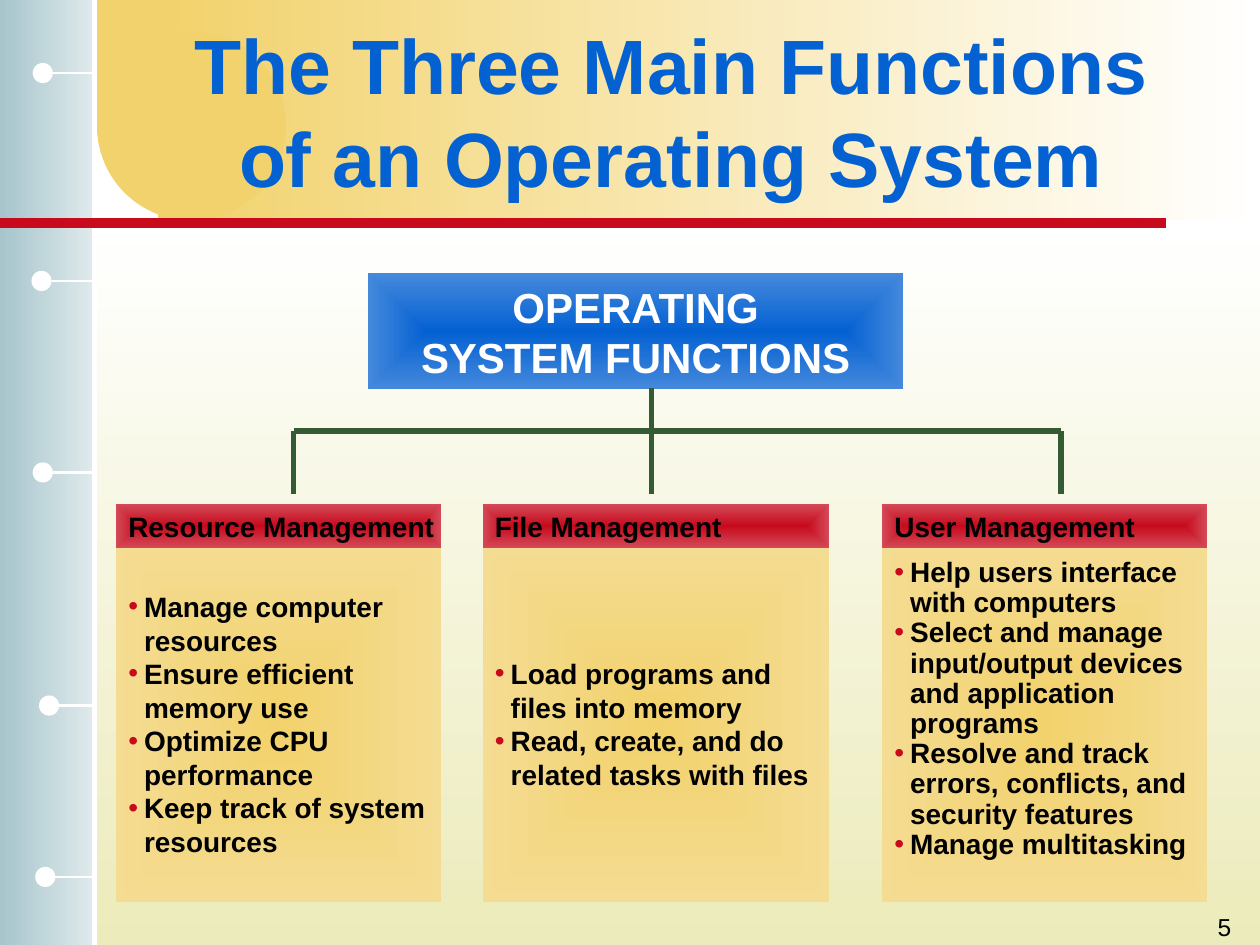
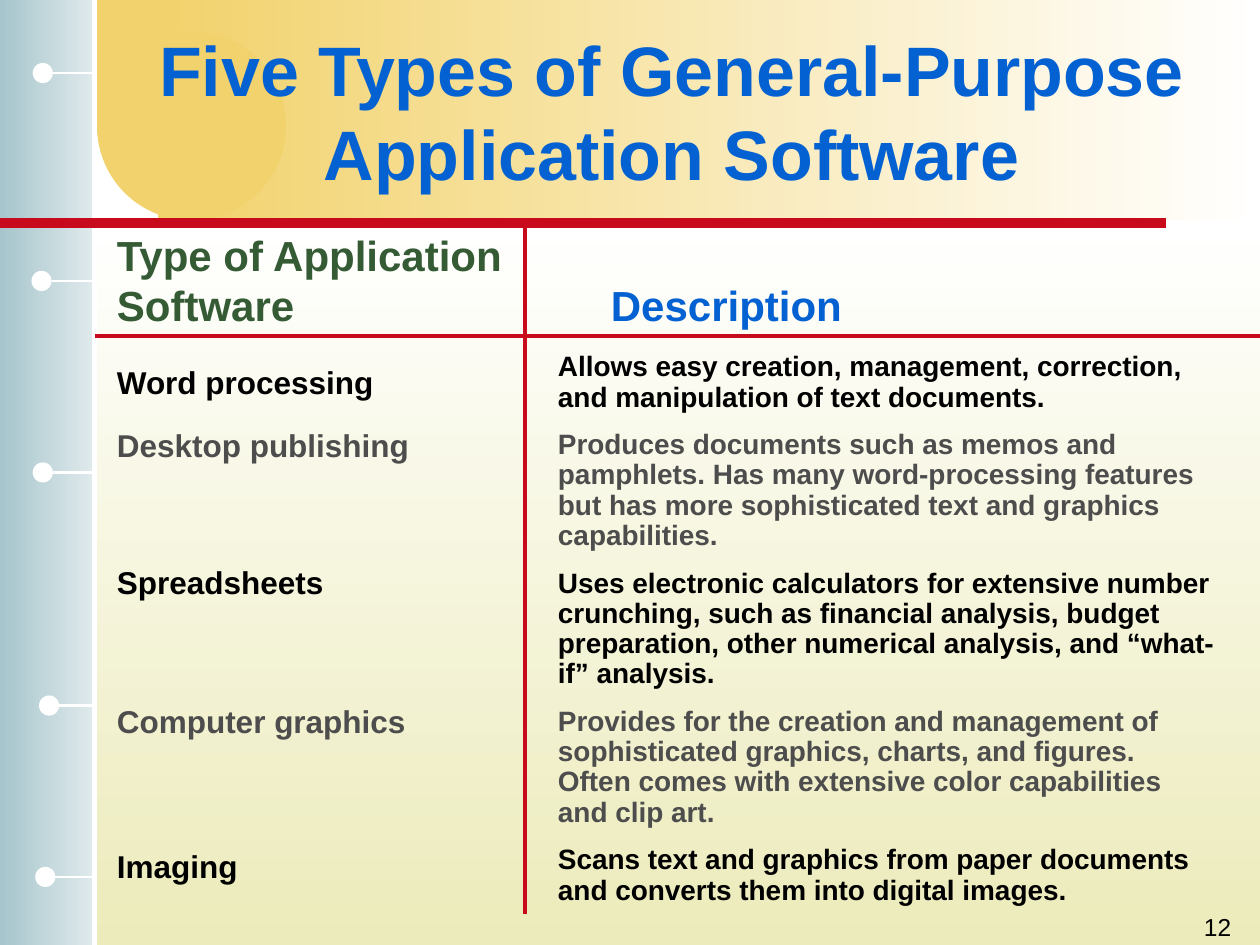
from dataclasses import dataclass
from itertools import cycle

from lxml import etree
from pptx import Presentation
from pptx.dml.color import RGBColor
from pptx.enum.shapes import MSO_CONNECTOR, MSO_SHAPE
from pptx.enum.text import MSO_ANCHOR, PP_ALIGN
from pptx.oxml import parse_xml
from pptx.oxml.ns import nsdecls, qn
from pptx.util import Inches, Pt


@dataclass(frozen=True)
class Theme:
    font: str = "Arial"
    blue: str = "0461D2"
    light_blue: str = "4589DC"
    red: str = "C70B1D"
    light_red: str = "D44A58"
    gold: str = "F2D26C"
    light_gold: str = "F4DC92"
    green: str = "355B35"
    cream: str = "ECEBBB"
    teal: str = "A6C5CC"
    light_teal: str = "E0EAEC"
    white: str = "FFFFFF"
    black: str = "000000"
    gray: str = "4D4D4D"
    heading: int = 24
    label: int = 18
    body: int = 16
    number: int = 14


T = Theme()

BINDER_DOTS = [(0.26, 0.5), (0.25, 2.15), (0.26, 3.67), (0.31, 5.52), (0.28, 6.88)]
DOT_SIZE = 0.16

FUNCTIONS = [
    # left, width, stem x, heading, line spacing, bottom inset, duties
    (0.92, 2.58, 2.33, "Resource Management", 1.0, 0.05, [
        "Manage computer resources",
        "Ensure efficient memory use",
        "Optimize CPU performance",
        "Keep track of system resources",
    ]),
    (3.83, 2.75, 5.17, "File Management", 1.0, 0.05, [
        "Load programs and files into memory",
        "Read, create, and do related tasks with files",
    ]),
    (7, 2.58, 8.42, "User Management", 0.9, 0.28, [
        "Help users interface with computers",
        "Select and manage input/output devices and application programs",
        "Resolve and track errors, conflicts, and security features",
        "Manage multitasking",
    ]),
]

SOFTWARE = [
    # label top, type, description
    (2.83, "Word processing",
     "Allows easy creation, management, correction, and manipulation of text documents."),
    (3.33, "Desktop publishing",
     "Produces documents such as memos and pamphlets. Has many word-processing features "
     "but has more sophisticated text and graphics capabilities."),
    (4.42, "Spreadsheets",
     "Uses electronic calculators for extensive number crunching, such as financial analysis, "
     "budget preparation, other numerical analysis, and “what-if” analysis."),
    (5.52, "Computer graphics",
     "Provides for the creation and management of sophisticated graphics, charts, and figures.\n"
     "Often comes with extensive color capabilities and clip art."),
    (6.67, "Imaging",
     "Scans text and graphics from paper documents and converts them into digital images."),
]


def rgb(color):
    return RGBColor.from_string(color)


def add_block(slide, box, colors, angle=None, kind=MSO_SHAPE.RECTANGLE):
    """Add a borderless shape: one colour is solid, two run at angle or from the centre out."""
    sp = slide.shapes.add_shape(kind, *map(Inches, box))
    sp.shadow.inherit = False
    sp.line.fill.background()
    if len(colors) == 1:
        sp.fill.solid()
        sp.fill.fore_color.rgb = rgb(colors[0])
        return sp
    sp.fill.gradient()
    for stop, color in zip(sp.fill.gradient_stops, colors):
        stop.color.rgb = rgb(color)
    if angle is not None:
        sp.fill.gradient_angle = angle
    else:
        lin = sp._element.spPr.find(qn("a:gradFill")).find(qn("a:lin"))
        lin.getparent().replace(lin, parse_xml(
            f'<a:path {nsdecls("a")} path="rect">'
            '<a:fillToRect l="50000" t="50000" r="50000" b="50000"/></a:path>'))
    return sp


def add_line(slide, start, end, color, width):
    ends = map(Inches, (*start, *end))
    line = slide.shapes.add_connector(MSO_CONNECTOR.STRAIGHT, *ends)
    line.line.color.rgb = rgb(color)
    line.line.width = Pt(width)
    etree.SubElement(line._element.spPr, qn("a:effectLst"))


def add_bullet(p):
    pPr = p._p.get_or_add_pPr()
    pPr.set("marL", str(Inches(0.125)))
    pPr.set("indent", str(-Inches(0.125)))
    color = etree.SubElement(pPr, qn("a:buClr"))
    etree.SubElement(color, qn("a:srgbClr"), val=T.red)
    etree.SubElement(pPr, qn("a:buFont"), typeface=T.font)
    etree.SubElement(pPr, qn("a:buChar"), char="•")


def write(sp, paragraphs, size, colors, align=PP_ALIGN.LEFT, anchor=MSO_ANCHOR.TOP,
          bold=True, wrap=True, bullets=False, spacing=1.0, before=0):
    """Fill a shape with paragraphs whose colours take turns; a newline breaks a line."""
    tf = sp.text_frame
    tf.word_wrap = wrap
    tf.vertical_anchor = anchor
    for i, (text, color) in enumerate(zip(paragraphs, cycle(colors))):
        p = tf.add_paragraph() if i else tf.paragraphs[0]
        p.alignment = align
        p.line_spacing = spacing
        if i and before:
            p.space_before = Pt(before)
        if bullets:
            add_bullet(p)
        for j, line in enumerate(text.split("\n")):
            if j:
                p.add_line_break()
            r = p.add_run()
            r.text = line
            r.font.name = T.font
            r.font.size = Pt(size)
            r.font.bold = bold
            r.font.color.rgb = rgb(color)


def add_text(slide, box, paragraphs, size, colors, **style):
    write(slide.shapes.add_textbox(*map(Inches, box)), paragraphs, size, colors, **style)


def add_backdrop(slide):
    add_block(slide, (0.73, 1.77, 9.27, 5.73), (T.white, T.cream), angle=270)
    add_block(slide, (0, 0, 0.75, 7.5), (T.teal, T.light_teal), angle=0)
    add_block(slide, (1.25, 0, 8.75, 1.75), (T.gold, T.white), angle=0)
    add_block(slide, (0.77, 0.25, 1.5, 1.5), (T.gold,), kind=MSO_SHAPE.OVAL)
    add_block(slide, (0.77, 0, 0.67, 0.96), (T.gold,))
    add_line(slide, (0.75, 0), (0.75, 7.5), T.white, 3)
    for x, y in BINDER_DOTS:
        middle = y + DOT_SIZE / 2
        add_line(slide, (x + DOT_SIZE, middle), (0.75, middle), T.white, 1.5)
        add_block(slide, (x, y, DOT_SIZE, DOT_SIZE), (T.white,), kind=MSO_SHAPE.OVAL)
    add_line(slide, (0, 1.77), (9.25, 1.77), T.red, 6)


def new_slide(prs, title, title_size, number):
    slide = prs.slides.add_slide(prs.slide_layouts[6])
    add_backdrop(slide)
    add_text(slide, (1.08, 0.25, 8.5, 1.25), [title], title_size, [T.blue],
             align=PP_ALIGN.CENTER, anchor=MSO_ANCHOR.MIDDLE)
    add_text(slide, (7.79, 7.19, 2.08, 0.5), [str(number)], T.number, [T.black],
             align=PP_ALIGN.RIGHT, bold=False)
    return slide


def add_function_card(slide, box, heading, duties, spacing, bottom_inset):
    left, top, width, height = box
    body = add_block(slide, (left, top + 0.33, width, height - 0.33), (T.gold, T.light_gold))
    body.text_frame.margin_bottom = Inches(bottom_inset)
    write(body, duties, T.body, [T.black], anchor=MSO_ANCHOR.MIDDLE,
          bullets=True, spacing=spacing)
    head = add_block(slide, (left, top, width, 0.35), (T.red, T.light_red))
    write(head, [heading], T.body, [T.black], anchor=MSO_ANCHOR.MIDDLE, wrap=False)


def add_tree_lines(slide, top, rail, bottom, stems):
    add_line(slide, (stems[1], top), (stems[1], rail), T.green, 3)
    add_line(slide, (stems[0], rail), (stems[-1], rail), T.green, 3)
    for x in stems:
        add_line(slide, (x, rail), (x, bottom), T.green, 3)


def functions_slide(prs):
    slide = new_slide(prs, "The Three Main Functions of an Operating System", 44, 5)
    root = add_block(slide, (2.92, 2.17, 4.25, 0.92), (T.blue, T.light_blue))
    write(root, ["OPERATING", "SYSTEM FUNCTIONS"], T.heading, [T.white],
          align=PP_ALIGN.CENTER, anchor=MSO_ANCHOR.MIDDLE, wrap=False)
    for left, width, _, heading, spacing, inset, duties in FUNCTIONS:
        add_function_card(slide, (left, 4, width, 3.16), heading, duties, spacing, inset)
    add_tree_lines(slide, 3.08, 3.42, 3.92, [card[2] for card in FUNCTIONS])


def software_slide(prs):
    slide = new_slide(prs, "Five Types of General-Purpose Application Software", 40, 12)
    add_line(slide, (0.75, 2.67), (10, 2.67), T.red, 2.25)
    add_line(slide, (4.17, 1.75), (4.17, 7.25), T.red, 2.25)
    add_text(slide, (0.83, 1.77, 3.33, 0.9), ["Type of Application Software"],
             T.heading, [T.green])
    add_text(slide, (4.75, 2.17, 2.2, 0.5), ["Description"], T.heading, [T.blue])
    row_colors = [T.black, T.gray]
    for (top, label, _), color in zip(SOFTWARE, cycle(row_colors)):
        add_text(slide, (0.83, top, 3.17, 0.4), [label], T.label, [color])
    add_text(slide, (4.33, 2.75, 5.42, 4.49), [row[2] for row in SOFTWARE],
             T.body, row_colors, spacing=0.9, before=10)


def main():
    prs = Presentation()
    prs.slide_width, prs.slide_height = Inches(10), Inches(7.5)
    functions_slide(prs)
    software_slide(prs)
    prs.save("out.pptx")


if __name__ == "__main__":
    main()
